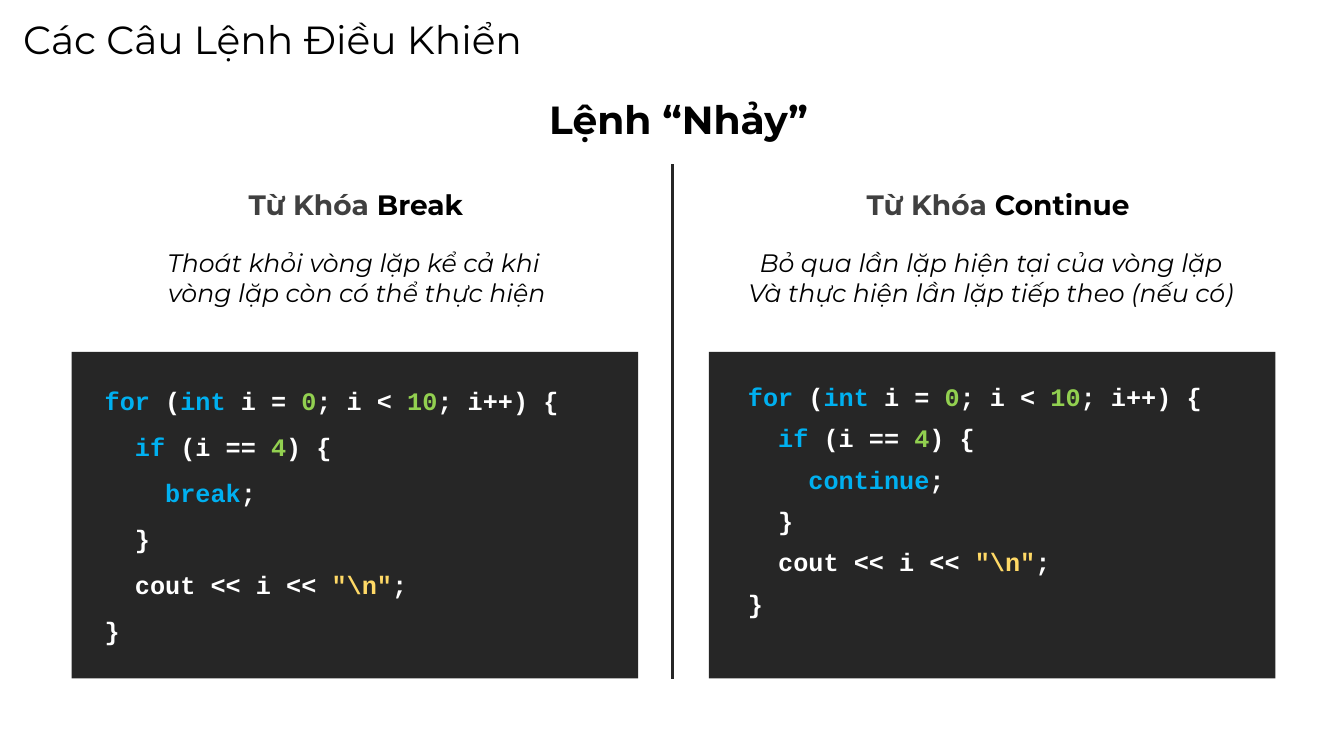
from lxml import etree
from pptx import Presentation
from pptx.dml.color import RGBColor
from pptx.enum.shapes import MSO_CONNECTOR, MSO_SHAPE
from pptx.enum.text import MSO_ANCHOR, MSO_AUTO_SIZE, PP_ALIGN
from pptx.oxml.ns import qn
from pptx.util import Inches, Pt

COLORS = {
    "ink": "000000", "muted": "404040", "panel": "262626", "plain": "FFFFFF",
    "keyword": "00B0F0", "number": "92D050", "string": "FFD966",
}
TEXT_FONT, CODE_FONT = "Montserrat", "Courier New"
PANEL_WIDTH, PANEL_TOP, PANEL_HEIGHT = 5.62, 3.49, 3.24

COLUMNS = [
    dict(left=0.71, keyword="Break", heading_dx=0.37, description_dx=0.18,
         description=["Thoát khỏi vòng lặp kể cả khi ", "vòng lặp còn có thể thực hiện"],
         code_dx=0.11, code_indent=0.12, code_spacing=1.15),
    dict(left=7.03, keyword="Continue", heading_dx=0.42, description_dx=0.15,
         description=["Bỏ qua lần lặp hiện tại của vòng lặp",
                      "Và thực hiện lần lặp tiếp theo (nếu có)"],
         code_dx=0.29, code_indent=0, code_spacing=1.0),
]


def loop_code(jump):
    """Return the loop as lines of (text, colour) pieces."""
    return [
        [("for ", "keyword"), ("(", "plain"), ("int ", "keyword"), ("i = ", "plain"),
         ("0", "number"), ("; i < ", "plain"), ("10", "number"), ("; i++) {", "plain")],
        [("  if ", "keyword"), ("(i == ", "plain"), ("4", "number"), (") {", "plain")],
        [("    " + jump, "keyword"), (";", "plain")],
        [("  }", "plain")],
        [("  cout << i << ", "plain"), ('"\\n"', "string"), (";", "plain")],
        [("}", "plain")],
    ]


def set_margins(frame, horizontal, vertical):
    frame.margin_left = frame.margin_right = Inches(horizontal)
    frame.margin_top = frame.margin_bottom = Inches(vertical)


def write_lines(frame, lines, size, font=TEXT_FONT, bold=False, italic=False,
                align=PP_ALIGN.LEFT, indent=0, spacing=1.0, after=0):
    """Fill a text frame with lines of (text, colour) pieces."""
    frame.word_wrap = True
    frame.vertical_anchor = MSO_ANCHOR.TOP
    for number, pieces in enumerate(lines):
        paragraph = frame.add_paragraph() if number else frame.paragraphs[0]
        properties = paragraph._p.get_or_add_pPr()
        properties.set("marL", str(Inches(indent)))
        properties.set("indent", "0")
        paragraph.alignment = align
        paragraph.line_spacing = spacing
        paragraph.space_before, paragraph.space_after = Pt(0), Pt(after)
        for text, color in pieces:
            run = paragraph.add_run()
            run.text = text
            run.font.name, run.font.size = font, Pt(size)
            run.font.bold, run.font.italic = bold, italic
            run.font.color.rgb = RGBColor.from_string(COLORS[color])


def add_text(slide, left, top, width, height, lines, size, margins=(0.1, 0.1), **style):
    box = slide.shapes.add_textbox(Inches(left), Inches(top), Inches(width), Inches(height))
    set_margins(box.text_frame, *margins)
    write_lines(box.text_frame, lines, size, **style)


def add_headings(slide):
    title = slide.shapes.title
    title.left, title.top = Inches(0.13), Inches(0.1)
    title.width, title.height = Inches(7.4), Inches(0.57)
    title.text_frame.auto_size = MSO_AUTO_SIZE.NONE
    set_margins(title.text_frame, 0.1, 0.05)
    write_lines(title.text_frame, [[("Các Câu Lệnh Điều Khiển", "ink")]], 28)
    add_text(slide, 5.03, 0.76, 3.28, 1, [[("Lệnh “Nhảy”", "ink")]], 28, margins=(0, 0),
             bold=True, align=PP_ALIGN.CENTER, indent=0.12, spacing=1.4, after=24)


def add_divider(slide, x, top, bottom):
    divider = slide.shapes.add_connector(
        MSO_CONNECTOR.STRAIGHT, Inches(x), Inches(top), Inches(x), Inches(bottom))
    divider.line.color.rgb = RGBColor.from_string(COLORS["panel"])
    divider.line.width = Pt(1.5)
    etree.SubElement(divider._element.spPr, qn("a:effectLst"))


def add_keyword_column(slide, left, keyword, heading_dx, description_dx, description,
                       code_dx, code_indent, code_spacing):
    add_text(slide, left + heading_dx, 1.76, 4.4, 0.54,
             [[("Từ Khóa ", "muted"), (keyword, "ink")]], 20,
             bold=True, align=PP_ALIGN.CENTER, indent=0.5)
    add_text(slide, left + description_dx, 2.4, 5.3, 0.71,
             [[(line, "ink")] for line in description], 18, margins=(0.1, 0.05),
             italic=True, align=PP_ALIGN.CENTER)
    panel = slide.shapes.add_shape(MSO_SHAPE.RECTANGLE, Inches(left), Inches(PANEL_TOP),
                                   Inches(PANEL_WIDTH), Inches(PANEL_HEIGHT))
    panel.shadow.inherit = False
    panel.fill.solid()
    panel.fill.fore_color.rgb = RGBColor.from_string(COLORS["panel"])
    panel.line.fill.background()
    add_text(slide, left + code_dx, PANEL_TOP + 0.19, 5.2, 2.97, loop_code(keyword.lower()),
             18, font=CODE_FONT, bold=True, indent=code_indent, spacing=code_spacing, after=8)


def main():
    presentation = Presentation()
    presentation.slide_width, presentation.slide_height = Inches(13.33), Inches(7.5)
    slide = presentation.slides.add_slide(presentation.slide_layouts.get_by_name("Title Only"))
    add_headings(slide)
    add_divider(slide, 6.67, 1.63, 6.74)
    for column in COLUMNS:
        add_keyword_column(slide, **column)
    presentation.save("out.pptx")


if __name__ == "__main__":
    main()
